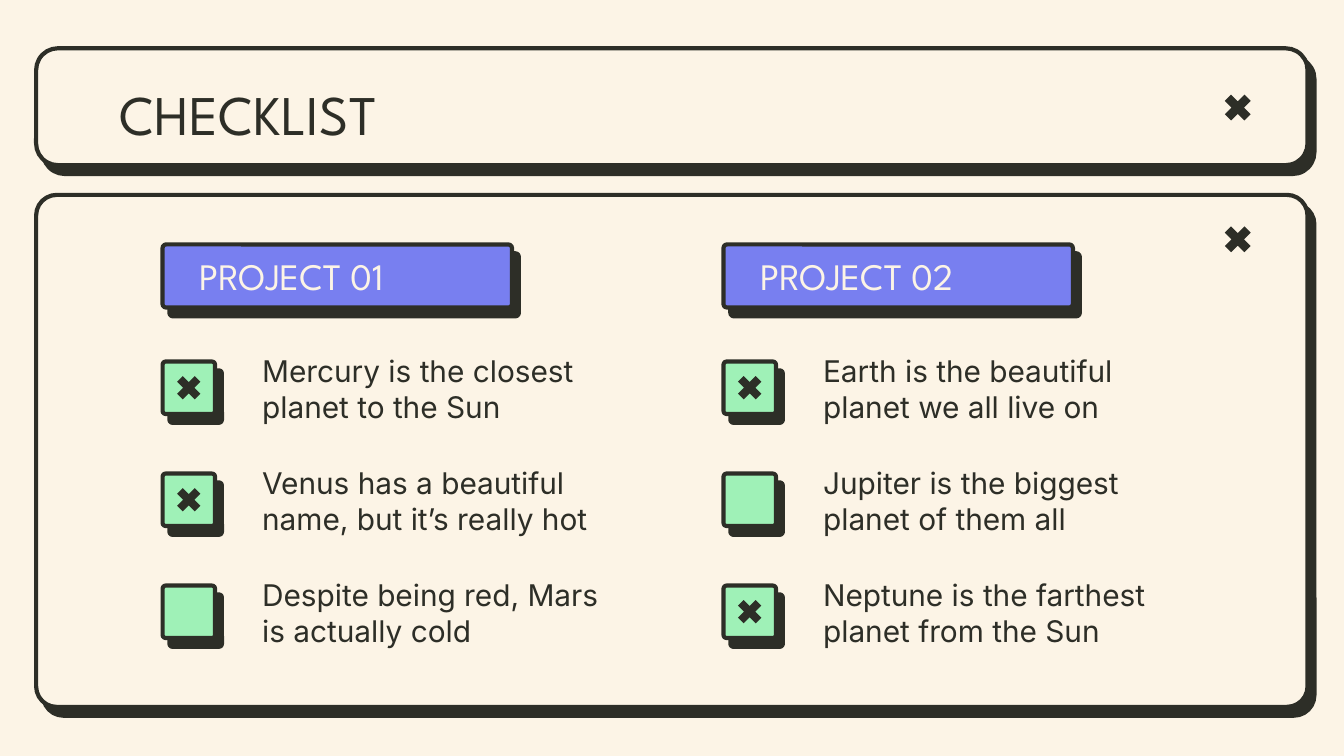
from lxml import etree
from pptx import Presentation
from pptx.dml.color import RGBColor
from pptx.enum import shapes, text
from pptx.oxml import ns
from pptx.util import Pt

CREAM = RGBColor(0xFC, 0xF4, 0xE6)
INK = RGBColor(0x2D, 0x2E, 0x27)
BLUE = RGBColor(0x78, 0x7F, 0xF0)
GREEN = RGBColor(0x9F, 0xF1, 0xB7)

TITLE = "CHECKLIST"
PROJECTS = [
    ("PROJECT 01", [
        ("Mercury is the closest planet to the Sun", True),
        ("Venus has a beautiful name, but it’s really hot", True),
        ("Despite being red, Mars is actually cold", False),
    ]),
    ("PROJECT 02", [
        ("Earth is the beautiful planet we all live on", True),
        ("Jupiter is the biggest planet of them all", False),
        ("Neptune is the farthest planet from the Sun", True),
    ]),
]

# Panels: top, height, corner, top of the close mark
PANELS = [(25.9, 62.6, 0.186, 47.5), (104.4, 274.3, 0.04, 118.1)]
PANEL_LEFT, PANEL_WIDTH = 19.4, 681.1
CLOSE_LEFT, CLOSE_SIZE = 653, 20.2

COLUMN_LEFT, COLUMN_PITCH = 87.1, 300.5
HEADER_TOP, HEADER_WIDTH, HEADER_HEIGHT, LABEL_INSET = 131, 187.2, 33.8, 12.5
ROW_TOP, ROW_PITCH = 193.7, 60
BOX_SIZE, MARK_SIZE = 28.1, 18.2
ITEM_INSET, ITEM_WIDTH, ITEM_HEIGHT = 46.3, 199.4, 45.4
CORNER = 0.057

TITLE_FONT = {"name": "League Spartan", "size": Pt(30)}
LABEL_FONT = {"name": "League Spartan", "size": Pt(20)}
ITEM_FONT = {"name": "Inter", "size": Pt(16)}


def add_hard_shadow(shape):
    """Give a solid, unblurred shadow to the lower right."""
    shape.shadow.inherit = False
    effects = shape._element.spPr.find(ns.qn("a:effectLst"))
    shadow = etree.SubElement(effects, ns.qn("a:outerShdw"), blurRad="0",
                              dist=str(Pt(6)), dir=str(52 * 60000),
                              algn="bl", rotWithShape="0")
    etree.SubElement(shadow, ns.qn("a:srgbClr"), val=str(INK))


def add_card(slide, left, top, width, height, fill, corner):
    card = slide.shapes.add_shape(shapes.MSO_SHAPE.ROUNDED_RECTANGLE,
                                  Pt(left), Pt(top), Pt(width), Pt(height))
    card.adjustments[0] = corner
    card.fill.solid()
    card.fill.fore_color.rgb = fill
    card.line.color.rgb = INK
    card.line.width = Pt(2.25)
    add_hard_shadow(card)


def add_cross(slide, left, top, size):
    cross = slide.shapes.add_shape(shapes.MSO_SHAPE.MATH_MULTIPLY,
                                   Pt(left), Pt(top), Pt(size), Pt(size))
    cross.adjustments[0] = 0.235
    cross.fill.solid()
    cross.fill.fore_color.rgb = INK
    cross.line.fill.background()
    cross.shadow.inherit = False


def add_text(slide, left, top, width, height, wording, font, color,
             anchor=text.MSO_ANCHOR.MIDDLE, space_after=0):
    box = slide.shapes.add_textbox(Pt(left), Pt(top), Pt(width), Pt(height))
    frame = box.text_frame
    frame.word_wrap = True
    frame.vertical_anchor = anchor
    for side in ("left", "top", "right", "bottom"):
        setattr(frame, f"margin_{side}", Pt(7.2))
    paragraph = frame.paragraphs[0]
    paragraph.space_after = Pt(space_after)
    run = paragraph.add_run()
    run.text = wording
    for name, value in font.items():
        setattr(run.font, name, value)
    run.font.color.rgb = color


def add_project(slide, left, label, items):
    add_card(slide, left, HEADER_TOP, HEADER_WIDTH, HEADER_HEIGHT, BLUE, CORNER)
    add_text(slide, left + LABEL_INSET, HEADER_TOP,
             HEADER_WIDTH - 2 * LABEL_INSET, HEADER_HEIGHT,
             label, LABEL_FONT, CREAM)
    mark_inset = (BOX_SIZE - MARK_SIZE) / 2
    for row, (item, done) in enumerate(items):
        top = ROW_TOP + row * ROW_PITCH
        add_card(slide, left, top, BOX_SIZE, BOX_SIZE, GREEN, CORNER)
        if done:
            add_cross(slide, left + mark_inset, top + mark_inset, MARK_SIZE)
        add_text(slide, left + ITEM_INSET, top - 8, ITEM_WIDTH, ITEM_HEIGHT,
                 item, ITEM_FONT, INK, space_after=12)


def main():
    deck = Presentation()
    deck.slide_width, deck.slide_height = Pt(720), Pt(405)
    slide = deck.slides.add_slide(deck.slide_layouts[6])
    slide.background.fill.solid()
    slide.background.fill.fore_color.rgb = CREAM

    for top, height, corner, close_top in PANELS:
        add_card(slide, PANEL_LEFT, top, PANEL_WIDTH, height, CREAM, corner)
        add_cross(slide, CLOSE_LEFT, close_top, CLOSE_SIZE)
    add_text(slide, 56.9, 35.3, 607, 45.4, TITLE, TITLE_FONT, INK,
             anchor=text.MSO_ANCHOR.TOP)
    for column, (label, items) in enumerate(PROJECTS):
        add_project(slide, COLUMN_LEFT + column * COLUMN_PITCH, label, items)

    deck.save("out.pptx")


if __name__ == "__main__":
    main()
